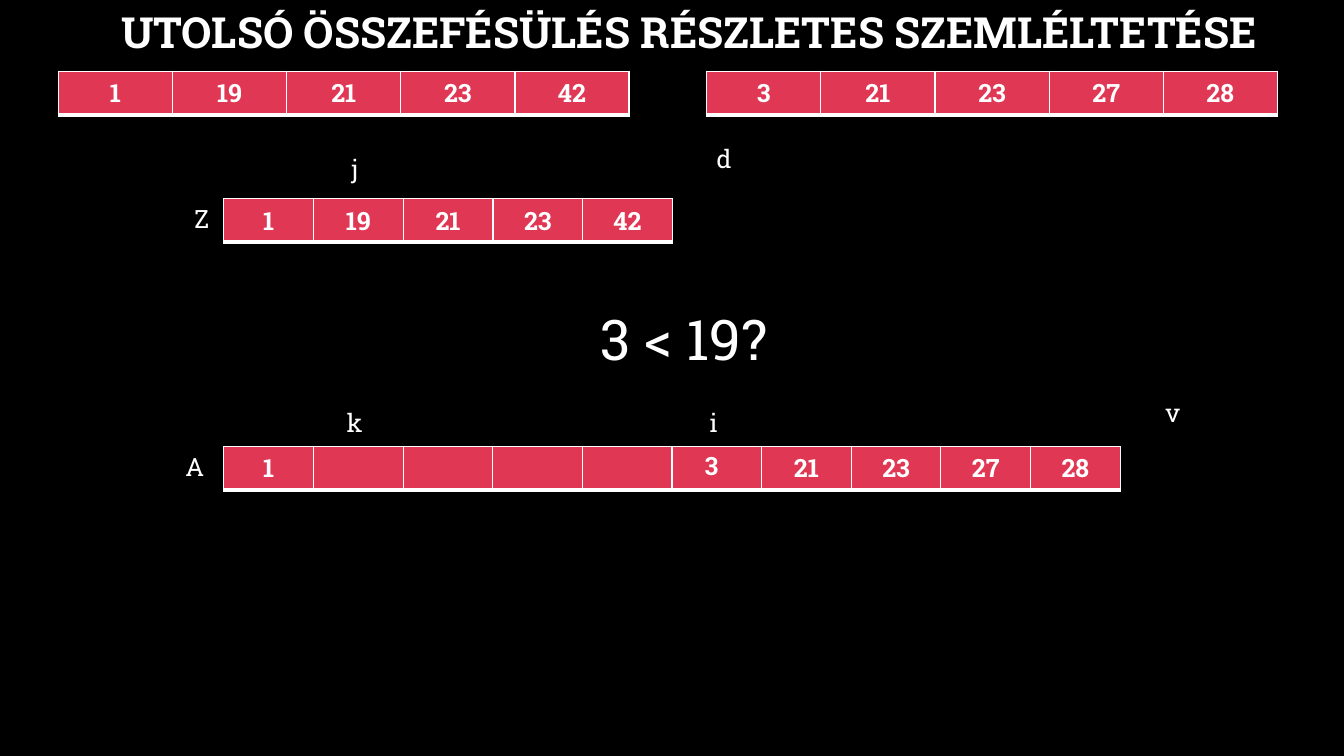
from lxml import etree
from pptx import Presentation
from pptx.dml.color import RGBColor
from pptx.enum import text
from pptx.oxml import ns
from pptx.util import Inches, Pt

BLACK = RGBColor(0x00, 0x00, 0x00)
WHITE = RGBColor(0xFF, 0xFF, 0xFF)
RED = RGBColor(0xE0, 0x37, 0x54)


class Board:
    def __init__(self, slide, face="Roboto Slab"):
        self.slide = slide
        self.face = face
        back = slide.background.fill
        back.solid()
        back.fore_color.rgb = BLACK

    def letter(self, frame, words, size=18, bold=False, align=None):
        """Put styled words in a text frame and return the paragraph."""
        para = frame.paragraphs[0]
        para.text = words
        para.alignment = align
        font = para.font
        font.name, font.size, font.bold = self.face, Pt(size), bold
        font.color.rgb = WHITE
        return para

    def title(self, words):
        head = self.slide.shapes.title
        head.left, head.top = Inches(0.22), Inches(0)
        head.width, head.height = Inches(13.23), Inches(0.68)
        frame = head.text_frame
        frame.vertical_anchor = text.MSO_ANCHOR.MIDDLE
        frame.auto_size = text.MSO_AUTO_SIZE.NONE
        para = self.letter(frame, words, 30.6, True, text.PP_ALIGN.CENTER)
        para.line_spacing = 0.9

    def label(self, words, left, top, width=0.94, height=0.4, size=18, bold=False):
        box = self.slide.shapes.add_textbox(
            Inches(left), Inches(top), Inches(width), Inches(height))
        frame = box.text_frame
        frame.word_wrap = True
        frame.auto_size = text.MSO_AUTO_SIZE.SHAPE_TO_FIT_TEXT
        self.letter(frame, words, size, bold)

    def edge(self, cell):
        """Give a cell thin white borders and a thick lower one."""
        props = cell._tc.get_or_add_tcPr()
        for side, width in (("L", 1), ("R", 1), ("T", 1), ("B", 3)):
            line = etree.SubElement(props, ns.qn(f"a:ln{side}"), w=str(Pt(width)))
            fill = etree.SubElement(line, ns.qn("a:solidFill"))
            etree.SubElement(fill, ns.qn("a:srgbClr"), val=str(WHITE))

    def array(self, items, left, top, width):
        """Draw a one-row table; width is that of the whole row."""
        table = self.slide.shapes.add_table(
            1, len(items), Inches(left), Inches(top),
            Inches(width), Inches(0.41)).table
        table.first_row = table.horz_banding = False
        for cell, item in zip(table.iter_cells(), items):
            self.edge(cell)
            cell.fill.solid()
            cell.fill.fore_color.rgb = RED
            self.letter(cell.text_frame, item, 18, True, text.PP_ALIGN.CENTER)


def main():
    deck = Presentation()
    deck.slide_width, deck.slide_height = Inches(13.33), Inches(7.5)
    board = Board(deck.slides.add_slide(deck.slide_layouts[5]))

    board.title("UTOLSÓ ÖSSZEFÉSÜLÉS RÉSZLETES SZEMLÉLTETÉSE")

    lower = ["1", "19", "21", "23", "42"]
    upper = ["21", "23", "27", "28"]
    board.array(lower, 0.58, 0.71, 5.66)
    board.array(["3"] + upper, 7.01, 0.71, 5.66)
    board.array(lower, 2.22, 1.97, 4.45)
    board.array(["1"] + [""] * 5 + upper, 2.22, 4.43, 8.89)

    board.label("Z", 1.83, 1.97, 0.39)
    board.label("A", 1.74, 4.43, 0.39)
    for mark, left, top in (("i", 6.94, 3.99), ("j", 3.39, 1.47),
                            ("k", 3.34, 3.99), ("d", 7.01, 1.37),
                            ("v", 11.46, 3.89)):
        board.label(mark, left, top)
    board.label("3 < 19?", 5.86, 2.97, 4.29, 0.77, size=40)
    board.label("3", 6.89, 4.42, 0.81, bold=True)

    deck.save("out.pptx")


if __name__ == "__main__":
    main()
